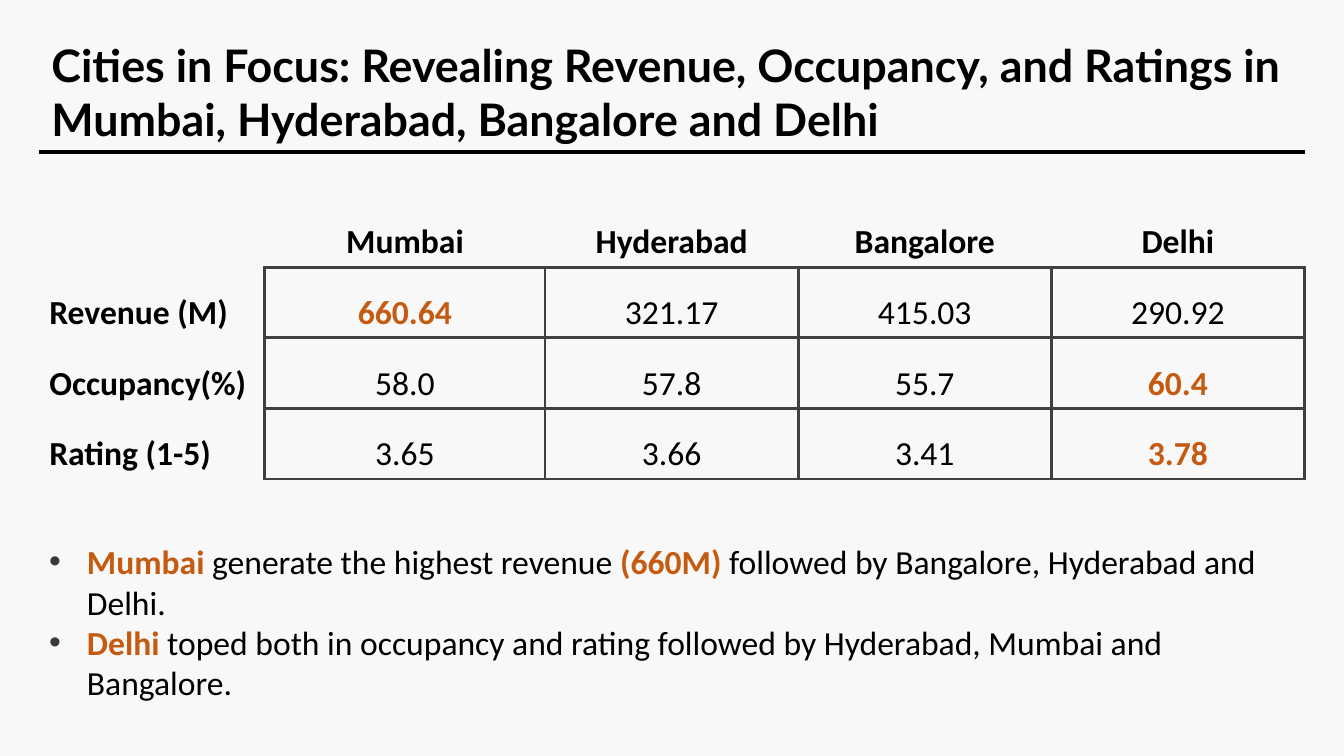
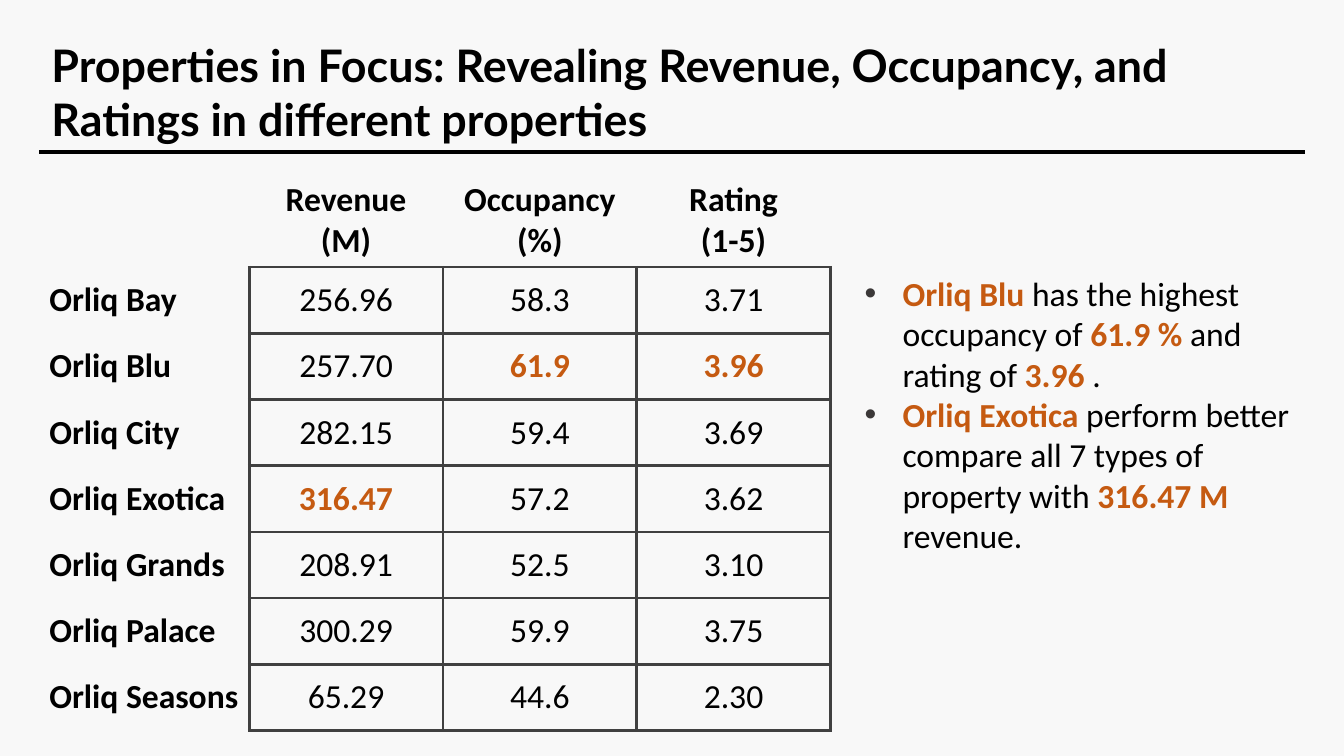
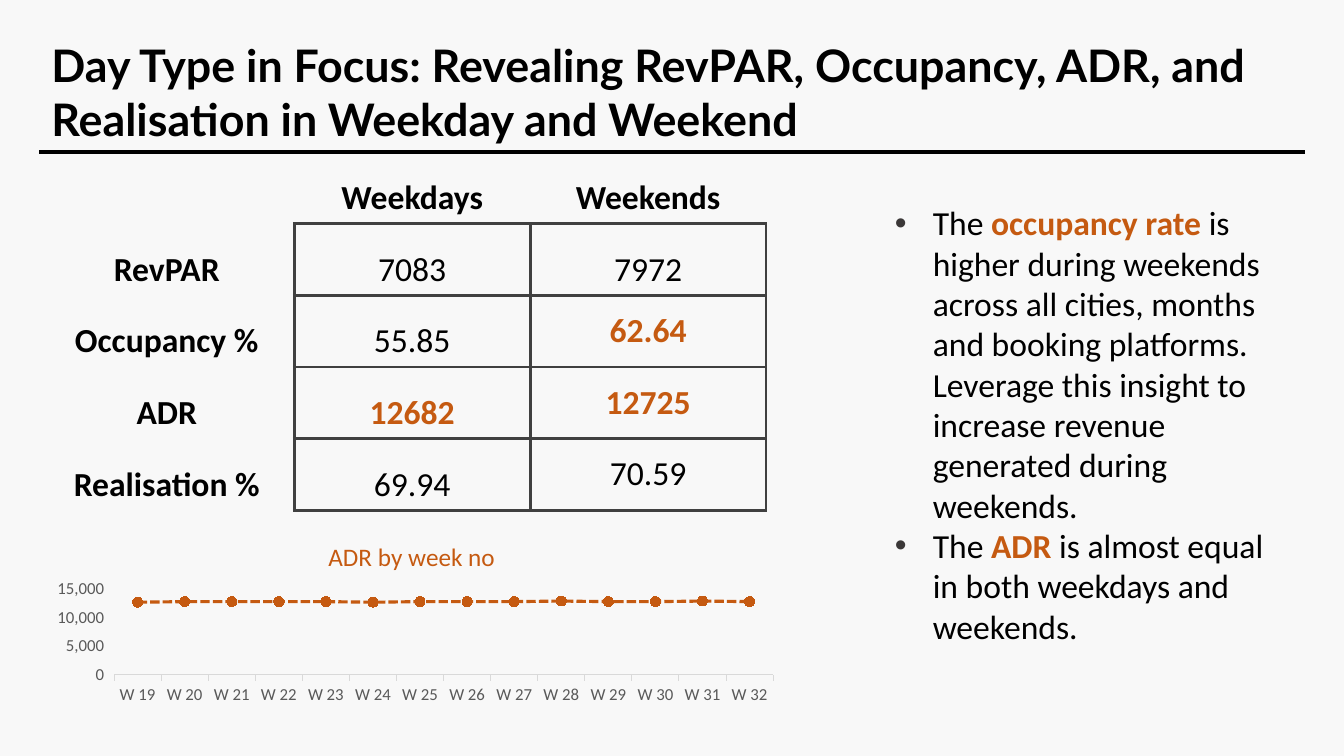
from dataclasses import dataclass

from lxml import etree
from pptx import Presentation
from pptx.chart.data import CategoryChartData
from pptx.dml.color import RGBColor
from pptx.enum.chart import XL_CHART_TYPE, XL_MARKER_STYLE, XL_TICK_MARK
from pptx.enum.dml import MSO_LINE
from pptx.enum.shapes import MSO_CONNECTOR, MSO_SHAPE
from pptx.enum.text import MSO_ANCHOR, MSO_AUTO_SIZE, PP_ALIGN
from pptx.oxml.ns import qn
from pptx.util import Pt

LEFT, CENTER = PP_ALIGN.LEFT, PP_ALIGN.CENTER
TOP, MIDDLE = MSO_ANCHOR.TOP, MSO_ANCHOR.MIDDLE
FIT_SHAPE = MSO_AUTO_SIZE.SHAPE_TO_FIT_TEXT
ROUNDED = MSO_SHAPE.ROUNDED_RECTANGLE
STRAIGHT = MSO_CONNECTOR.STRAIGHT
LINE_MARKERS = XL_CHART_TYPE.LINE_MARKERS
CIRCLE = XL_MARKER_STYLE.CIRCLE
TICK_OUT = XL_TICK_MARK.OUTSIDE
SYS_DASH = MSO_LINE.SQUARE_DOT


@dataclass(frozen=True)
class Theme:
    background: str = "F8F8F8"
    ink: str = "000000"
    accent: str = "C55A11"
    bullet: str = "3B3838"
    border: str = "404040"
    axis_text: str = "595959"
    axis_line: str = "D9D9D9"
    title_font: str = "Lato"
    body_font: str = "Calibri"
    title_size: float = 32
    body_size: float = 24
    chart_title_size: float = 18
    axis_size: float = 12
    grid_width: float = 2.25
    left: float = 28
    width: float = 904
    rule_top: float = 108.7


THEME = Theme()


def rgb(value):
    return RGBColor.from_string(value)


def style_font(font, size=THEME.body_size, color=THEME.ink, bold=False, name=THEME.body_font):
    font.size = Pt(size)
    font.name = name
    font.bold = bold
    font.color.rgb = rgb(color)


def write(para, text, align=LEFT, spacing=None, bold=False, **font):
    para.alignment = align
    if spacing:
        para.line_spacing = spacing
    for index, piece in enumerate(text.split("*")):
        if not piece:
            continue
        span = para.add_run()
        span.text = piece
        if index % 2:
            style_font(span.font, bold=True, color=THEME.accent)
        else:
            style_font(span.font, bold=bold, **font)


def paragraphs(frame, texts):
    for index, text in enumerate(texts):
        yield frame.add_paragraph() if index else frame.paragraphs[0], text


def add_page(deck, title):
    page = deck.slides.add_slide(deck.slide_layouts[6])
    box = page.shapes.add_shape(ROUNDED, Pt(THEME.left), Pt(34), Pt(THEME.width), Pt(62.6))
    box.adjustments[0] = 0.09
    box.shadow.inherit = False
    box.fill.background()
    box.line.fill.background()
    box.text_frame.word_wrap = True
    box.text_frame.vertical_anchor = MIDDLE
    write(box.text_frame.paragraphs[0], title, size=THEME.title_size,
          bold=True, name=THEME.title_font)
    rule = page.shapes.add_connector(STRAIGHT, Pt(THEME.left), Pt(THEME.rule_top),
                                     Pt(THEME.left + THEME.width), Pt(THEME.rule_top))
    rule.line.color.rgb = rgb(THEME.ink)
    rule.line.width = Pt(3)
    etree.SubElement(rule.element.spPr, qn("a:effectLst"))
    return page


def add_bullets(page, left, top, width, height, texts):
    box = page.shapes.add_textbox(Pt(left), Pt(top), Pt(width), Pt(height))
    frame = box.text_frame
    frame.word_wrap = True
    frame.auto_size = FIT_SHAPE
    for para, text in paragraphs(frame, texts):
        write(para, text)
        properties = para._p.get_or_add_pPr()
        properties.set("marL", str(Pt(27)))
        properties.set("indent", str(-Pt(27)))
        color = etree.SubElement(properties, qn("a:buClr"))
        etree.SubElement(color, qn("a:srgbClr"), val=THEME.bullet)
        etree.SubElement(properties, qn("a:buFont"), typeface="Arial")
        etree.SubElement(properties, qn("a:buChar"), char="•")


def set_borders(cell, visible):
    properties = cell._tc.get_or_add_tcPr()
    for index, side in enumerate("LRTB"):
        line = etree.Element(qn("a:ln" + side), w=str(Pt(THEME.grid_width)))
        if side in visible:
            fill = etree.SubElement(line, qn("a:solidFill"))
            etree.SubElement(fill, qn("a:srgbClr"), val=THEME.border)
        else:
            etree.SubElement(line, qn("a:noFill"))
        properties.insert(index, line)


def visible_borders(row, column):
    if row and column:
        return "LRTB"
    if row:
        return "R"
    return "B" if column else ""


def add_grid(page, left, top, widths, heights, rows, anchor=MIDDLE, spacing=None,
             label_align=LEFT, single_spaced=()):
    table = page.shapes.add_table(len(rows), len(widths), Pt(left), Pt(top),
                                  Pt(sum(widths)), Pt(sum(heights))).table
    table.first_row = False
    table.horz_banding = False
    for column, width in zip(table.columns, widths):
        column.width = Pt(width)
    for row, height in zip(table.rows, heights):
        row.height = Pt(height)
    for r, values in enumerate(rows):
        for c, value in enumerate(values):
            cell = table.cell(r, c)
            cell.fill.background()
            cell.vertical_anchor = anchor
            set_borders(cell, visible_borders(r, c))
            for para, text in paragraphs(cell.text_frame, value.split("\n")):
                write(para, text, align=CENTER if c else label_align,
                      spacing=None if (r, c) in single_spaced else spacing,
                      bold=r == 0 or c == 0)


def set_layout(parent, position, inner=False, **fractions):
    layout = parent.find(qn("c:layout"))
    if layout is None:
        layout = etree.Element(qn("c:layout"))
        parent.insert(position, layout)
    manual = etree.SubElement(layout, qn("c:manualLayout"))
    if inner:
        etree.SubElement(manual, qn("c:layoutTarget"), val="inner")
    for key in "xy":
        etree.SubElement(manual, qn(f"c:{key}Mode"), val="edge")
    for key, value in fractions.items():
        etree.SubElement(manual, qn("c:" + key), val=str(value))


def add_trend(page, left, top, width, height, title, weeks, values):
    data = CategoryChartData(number_format="#,##0")
    data.categories = weeks
    data.add_series("Series 1", values)
    chart = page.shapes.add_chart(LINE_MARKERS, Pt(left), Pt(top), Pt(width), Pt(height), data).chart
    chart.has_legend = False
    style_font(chart.font, size=10)
    chart.has_title = True
    write(chart.chart_title.text_frame.paragraphs[0], title, align=CENTER,
          size=THEME.chart_title_size, color=THEME.accent)
    set_layout(chart.chart_title.element, 1, x=0.38, y=0.09)
    set_layout(chart.element.find(".//" + qn("c:plotArea")), 0, inner=True,
               x=0.1, y=0.37, w=0.88, h=0.45)
    for axis in (chart.category_axis, chart.value_axis):
        axis.has_major_gridlines = False
        axis.major_tick_mark = TICK_OUT
        style_font(axis.tick_labels.font, size=THEME.axis_size, color=THEME.axis_text)
    chart.category_axis.format.line.color.rgb = rgb(THEME.axis_line)
    chart.category_axis.format.line.width = Pt(0.75)
    scale = chart.value_axis
    scale.minimum_scale, scale.maximum_scale, scale.major_unit = 0, 15000, 5000
    scale.tick_labels.number_format = "#,##0"
    scale.tick_labels.number_format_is_linked = False
    scale.format.line.fill.background()
    chart.plots[0].vary_by_categories = False
    series = chart.plots[0].series[0]
    series.smooth = False
    series.format.line.color.rgb = rgb(THEME.accent)
    series.format.line.width = Pt(2.25)
    series.format.line.dash_style = SYS_DASH
    series.marker.style = CIRCLE
    series.marker.size = 7
    series.marker.format.fill.solid()
    series.marker.format.fill.fore_color.rgb = rgb(THEME.accent)
    series.marker.format.line.color.rgb = rgb(THEME.accent)


def add_cities(deck):
    page = add_page(deck, "Cities in Focus: Revealing Revenue, Occupancy, and Ratings in "
                          "Mumbai, Hyderabad, Bangalore and Delhi")
    add_bullets(page, THEME.left, 383, THEME.width, 124, [
        "*Mumbai* generate the highest revenue *(660M) *followed by Bangalore, Hyderabad and Delhi.",
        "*Delhi* toped both in occupancy and rating followed by Hyderabad, Mumbai and Bangalore.",
    ])
    add_grid(page, THEME.left, 140.4, [161.2, 200.2] + [180.8] * 3, [49.7] * 4, [
        ["", "Mumbai", "Hyderabad", "Bangalore", "Delhi"],
        ["Revenue (M)", "*660.64*", "321.17", "415.03", "290.92"],
        ["Occupancy(%)", "58.0", "57.8", "55.7", "*60.4*"],
        ["Rating (1-5)", "3.65", "3.66", "3.41", "*3.78*"],
    ], anchor=TOP, spacing=1.5)


def add_properties(deck):
    page = add_page(deck, "Properties in Focus: Revealing Revenue, Occupancy, and "
                          "Ratings in different properties")
    add_bullets(page, 610.6, 191.5, 321, 211, [
        "*Orliq Blu *has the highest occupancy of *61.9 % *and rating of *3.96 *.",
        "*Orliq Exotica *perform better compare all 7 types of property with *316.47 M *revenue.",
    ])
    add_grid(page, THEME.left, 124.2, [150] + [138.4] * 3, [66.6] + [47.3] * 7, [
        ["", "Revenue\n(M)", "Occupancy\n(%)", "Rating\n(1-5)"],
        ["Orliq Bay", "256.96", "58.3", "3.71"],
        ["Orliq Blu", "257.70", "*61.9*", "*3.96*"],
        ["Orliq City", "282.15", "59.4", "3.69"],
        ["Orliq Exotica", "*316.47*", "57.2", "3.62"],
        ["Orliq Grands", "208.91", "52.5", "3.10"],
        ["Orliq Palace", "300.29", "59.9", "3.75"],
        ["Orliq Seasons", "65.29", "44.6", "2.30"],
    ])


def add_day_types(deck):
    page = add_page(deck, "Day Type in Focus: Revealing RevPAR, Occupancy, ADR, and "
                          "Realisation in Weekday and Weekend")
    add_grid(page, THEME.left, THEME.rule_top, [182.2, 168.5, 168.5], [42.5] * 5, [
        ["", "Weekdays", "Weekends"],
        ["RevPAR", "7083", "7972"],
        ["Occupancy %", "55.85", "*62.64*"],
        ["ADR", "*12682*", "*12725*"],
        ["Realisation %", "69.94", "70.59"],
    ], spacing=1.5, label_align=CENTER, single_spaced=[(row, 2) for row in (2, 3, 4)])
    add_trend(page, THEME.left, 369.4, 535, 137.5, "ADR by week no",
              [f"W {week}" for week in range(19, 33)],
              [12600, 12700, 12700, 12700, 12700, 12600, 12700,
               12700, 12700, 12800, 12700, 12700, 12800, 12700])
    add_bullets(page, 632.2, 141, 299.5, 327, [
        "The *occupancy rate* is higher during weekends across all cities, months and booking "
        "platforms. Leverage this insight to increase revenue generated during weekends.",
        "The *ADR* is almost equal in both weekdays and weekends.",
    ])


def main():
    deck = Presentation()
    deck.slide_width, deck.slide_height = Pt(960), Pt(540)
    fill = deck.slide_master.background.fill
    fill.solid()
    fill.fore_color.rgb = rgb(THEME.background)
    add_cities(deck)
    add_properties(deck)
    add_day_types(deck)
    deck.save("out.pptx")


if __name__ == "__main__":
    main()
